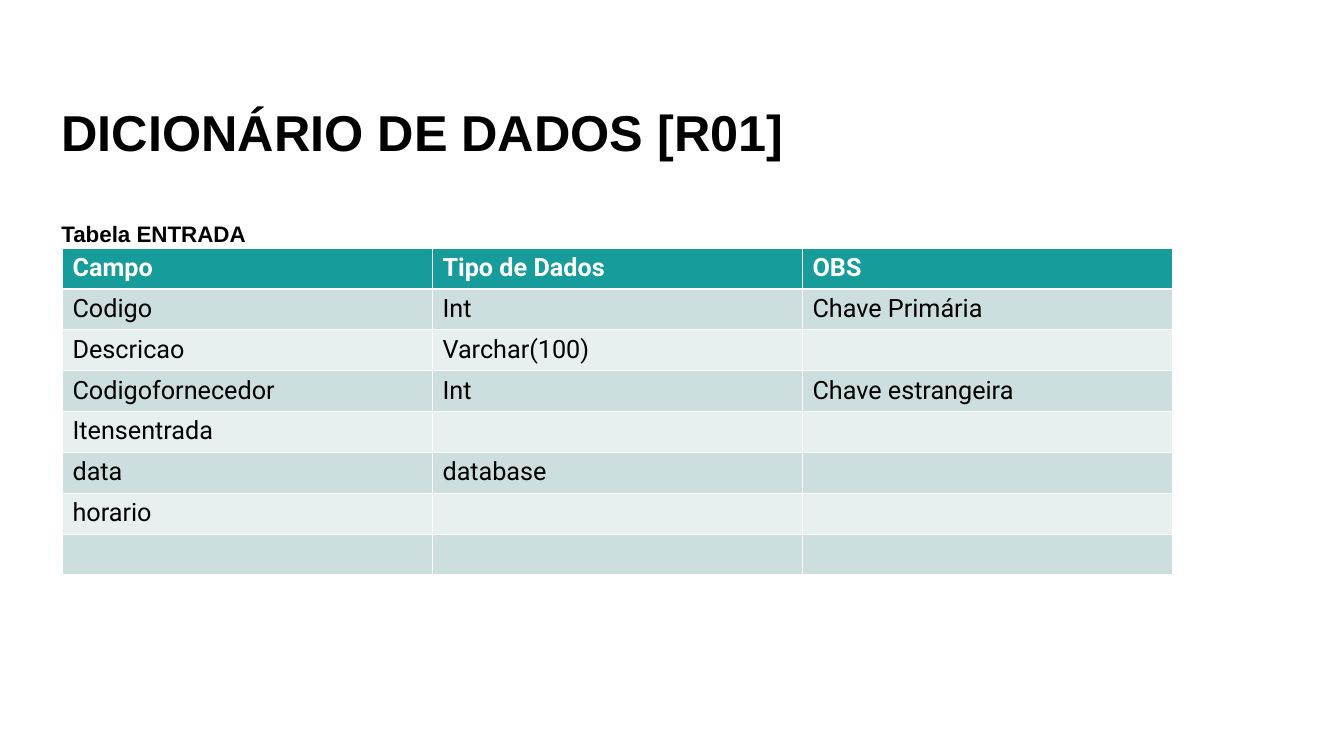
from dataclasses import dataclass

from pptx import Presentation
from pptx.dml.color import RGBColor
from pptx.enum import text
from pptx.util import Pt

BLACK = RGBColor(0x00, 0x00, 0x00)
WHITE = RGBColor(0xFF, 0xFF, 0xFF)
TEAL = RGBColor(0x16, 0x9C, 0x9A)
BANDS = (RGBColor(0xCC, 0xDE, 0xDE), RGBColor(0xE8, 0xEF, 0xEF))

ROWS = (
    ("Campo", "Tipo de Dados", "OBS"),
    ("Codigo", "Int", "Chave Primária"),
    ("Descricao", "Varchar(100)", ""),
    ("Codigofornecedor", "Int", "Chave estrangeira"),
    ("Itensentrada", "", ""),
    ("data", "database", ""),
    ("horario", "", ""),
    ("", "", ""),
)
COL_WIDTH, ROW_HEIGHT = 264.3, 29.2


@dataclass
class Heading:
    words: str
    top: float
    size: float


TITLE = Heading("DICIONÁRIO DE DADOS [R01]", 0, 36)
CAPTION = Heading("Tabela ENTRADA", 60, 16)


def style_font(font, name: str, size: float, color: RGBColor, bold: bool) -> None:
    for key, value in {"name": name, "size": Pt(size), "bold": bold}.items():
        setattr(font, key, value)
    font.color.rgb = color


def fill_heading(sp, heading: Heading) -> None:
    box = {"left": 36.75, "top": heading.top, "width": 828, "height": 120}
    for key, value in box.items():
        setattr(sp, key, Pt(value))
    tf = sp.text_frame
    frame = {"word_wrap": True, "auto_size": text.MSO_AUTO_SIZE.NONE,
             "vertical_anchor": text.MSO_ANCHOR.BOTTOM}
    for key, value in frame.items():
        setattr(tf, key, value)
    p = tf.paragraphs[0]
    p.alignment, p.line_spacing = text.PP_ALIGN.LEFT, 0.9
    r = p.add_run()
    r.text = heading.words
    style_font(r.font, "Arial", heading.size, BLACK, True)


def add_fields(s) -> None:
    n_rows, n_cols = len(ROWS), len(ROWS[0])
    table = s.shapes.add_table(n_rows, n_cols, Pt(44.65), Pt(177.2),
                               Pt(COL_WIDTH * n_cols), Pt(ROW_HEIGHT * n_rows)).table
    for i, row in enumerate(ROWS):
        header = i == 0
        for j, words in enumerate(row):
            cell = table.cell(i, j)
            cell.fill.solid()
            cell.fill.fore_color.rgb = TEAL if header else BANDS[(i - 1) % 2]
            if words:
                r = cell.text_frame.paragraphs[0].add_run()
                r.text = words
                style_font(r.font, "Roboto", 18, WHITE if header else BLACK, header)


def main() -> None:
    prs = Presentation()
    prs.slide_width, prs.slide_height = Pt(960), Pt(540)
    s = prs.slides.add_slide(prs.slide_layouts[5])

    # Title
    fill_heading(s.shapes.title, TITLE)

    # Field table and its caption
    add_fields(s)
    fill_heading(s.shapes.add_textbox(0, 0, 0, 0), CAPTION)

    prs.save("out.pptx")


if __name__ == "__main__":
    main()
